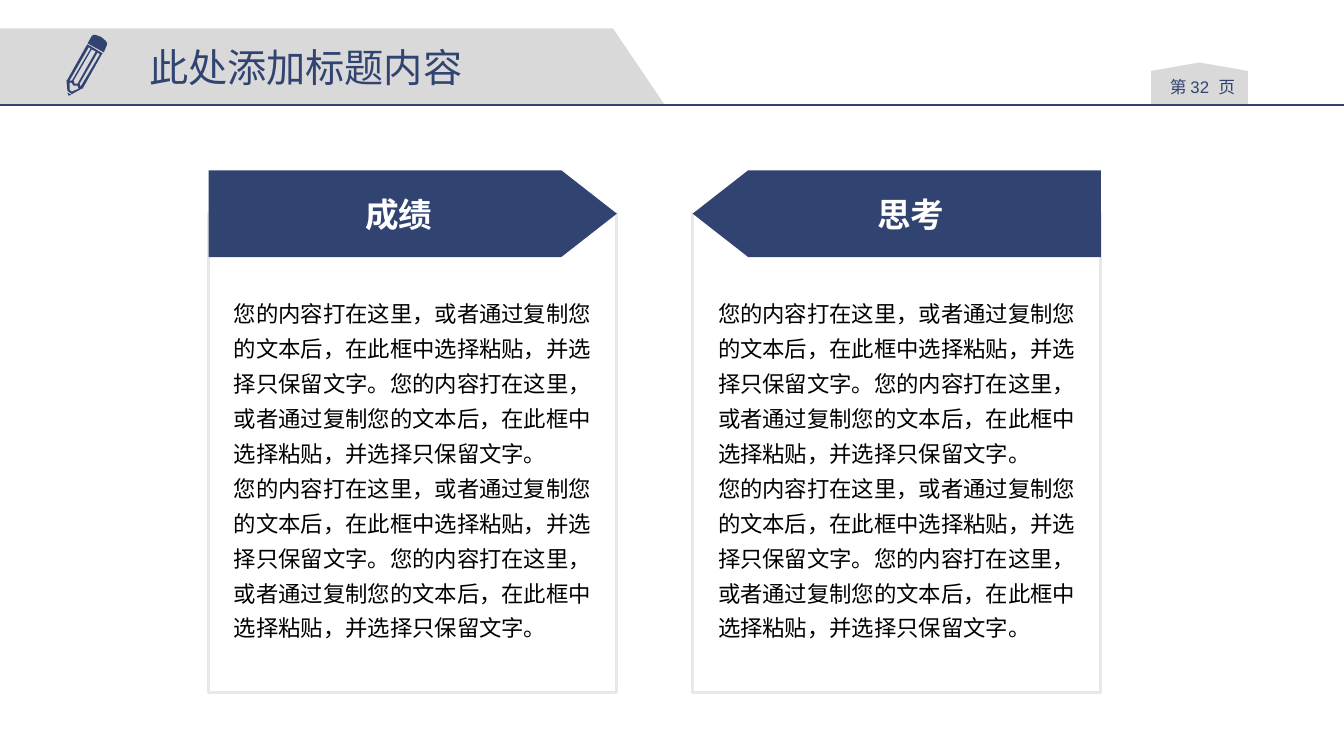
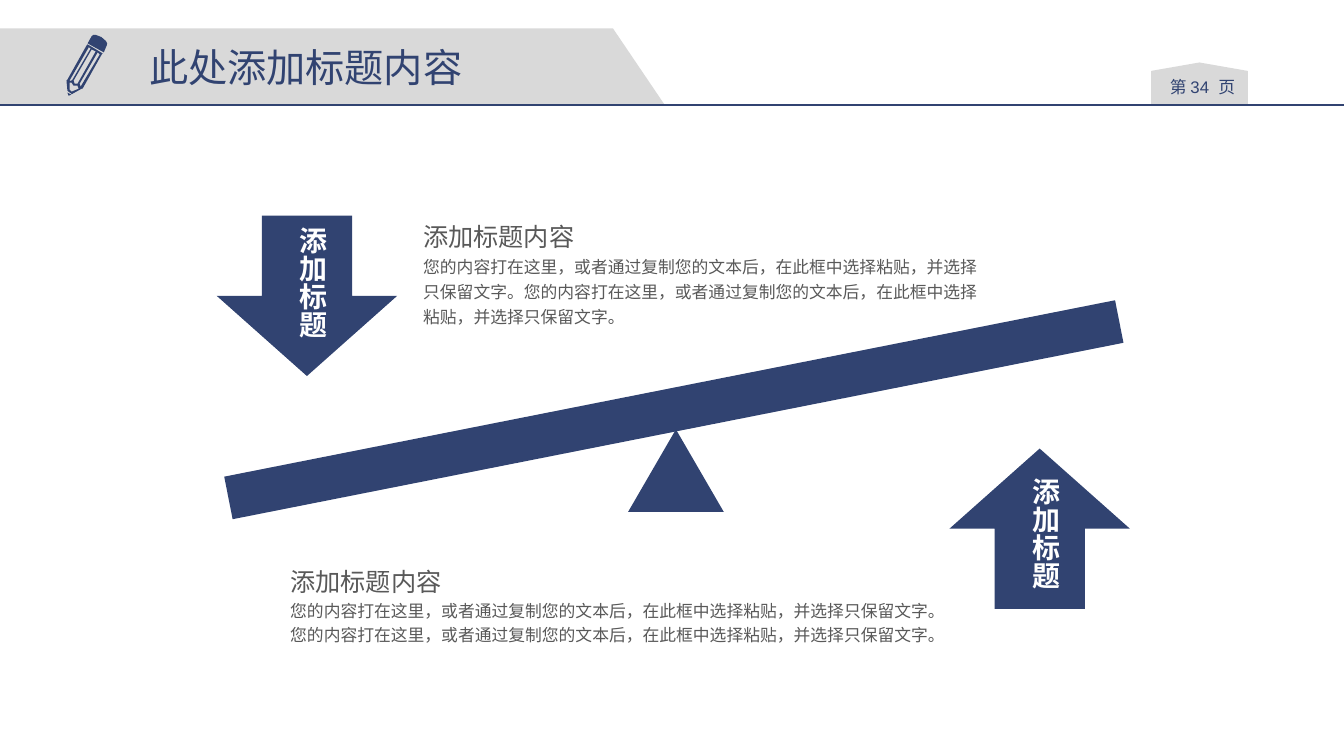
import pptx
import pptx.dml.color
import pptx.enum.shapes
import pptx.enum.text
import pptx.oxml
import pptx.oxml.ns
import pptx.util
from lxml import etree

Pt = pptx.util.Pt
Shape = pptx.enum.shapes.MSO_SHAPE
Align = pptx.enum.text.PP_ALIGN
qn = pptx.oxml.ns.qn

COLORS = {
    "navy": "314371",
    "band": "D9D9D9",
    "border": "E8E8E6",
    "gray": "595959",
    "white": "FFFFFF",
    "black": "000000",
}
FONT = "Noto Sans CJK SC"
WIDTH, HEIGHT = 960, 540
SENTENCE = "您的内容打在这里，或者通过复制您的文本后，在此框中选择粘贴，并选择只保留文字。"
BODY = SENTENCE * 2

# Pencil icon: each part is a list of outlines, the later ones being holes
PENCIL = [
    [[(65.5, 25.9), (66.6, 25), (68.4, 24.9), (72.5, 26.5), (75.8, 29.4), (76.6, 31),
      (76.3, 32.4), (74.2, 37.4), (62.6, 31)]],
    [[(47.5, 57.6), (48.2, 64.8), (49, 65.5), (51.1, 67), (51.8, 67), (58.3, 63.4),
      (59, 63.4), (72.7, 38.9), (73.4, 38.2), (62.6, 31.7), (61.9, 32.4), (48.2, 56.9)],
     [(49.7, 57.6), (63.4, 33.8), (64.8, 34.6), (51.8, 56.9), (50.8, 57.8)],
     [(51.1, 65.5), (49.7, 64.1), (49.7, 59), (51.1, 59), (52.6, 61.2), (55.4, 61.2),
      (56.2, 63.4)],
     [(52.6, 57.6), (65.5, 35.3), (68.4, 36.7), (55.4, 59.8), (53.3, 59.8)],
     [(57.6, 61.9), (56.9, 59.8), (69.8, 37.4), (71.3, 38.9)]],
    [[(51.1, 67.7), (48.2, 66.2), (49, 68.4)]],
]


def rgb(name):
    return pptx.dml.color.RGBColor.from_string(COLORS[name])


def add_text(frame, text, size=12, color="navy", font=FONT, bold=False,
             align=Align.LEFT, leading=None, tracking=None, join=False):
    """Add a paragraph, or with join a further span of the last one."""
    para = frame.paragraphs[-1]
    if para.runs and not join:
        para = frame.add_paragraph()
    if not join:
        para.alignment = align
        para.line_spacing = leading
    span = para.add_run()
    span.text = text
    span.font.size = Pt(size)
    span.font.bold = bold
    span.font.color.rgb = rgb(color)
    span.font.name = font
    properties = span._r.get_or_add_rPr()
    etree.SubElement(properties, qn("a:ea")).set("typeface", font)
    if tracking:
        properties.set("spc", str(round(tracking * 100)))


class Deck:
    """The house style and the page being drawn."""

    def __init__(self):
        self.deck = pptx.Presentation()
        self.deck.slide_width, self.deck.slide_height = Pt(WIDTH), Pt(HEIGHT)
        self.page = None

    def paint(self, shape, fill, line=None, weight=1):
        shape.shadow.inherit = False
        shape.fill.solid()
        shape.fill.fore_color.rgb = rgb(fill)
        if line:
            shape.line.color.rgb = rgb(line)
            shape.line.width = Pt(weight)
        else:
            shape.line.fill.background()
        return shape

    def shape(self, kind, left, top, width, height, fill="navy", line=None, weight=1,
              rotation=0, flip=False):
        shape = self.page.shapes.add_shape(kind, Pt(left), Pt(top), Pt(width), Pt(height))
        shape.rotation = rotation
        if flip:
            shape._element.spPr.find(qn("a:xfrm")).set("flipH", "1")
        return self.paint(shape, fill, line, weight)

    def outline(self, contours, fill):
        first, *holes = [[(Pt(x), Pt(y)) for x, y in contour] for contour in contours]
        builder = self.page.shapes.build_freeform(*first[0])
        builder.add_line_segments(first[1:])
        for hole in holes:
            builder.move_to(*hole[0])
            builder.add_line_segments(hole[1:])
        return self.paint(builder.convert_to_shape(), fill)

    def rule(self, x1, y1, x2, y2):
        line = self.page.shapes.add_connector(
            pptx.enum.shapes.MSO_CONNECTOR.STRAIGHT, Pt(x1), Pt(y1), Pt(x2), Pt(y2))
        line.line.color.rgb = rgb("navy")
        line.line.width = Pt(1)
        etree.SubElement(line._element.spPr, qn("a:effectLst"))

    def box(self, left, top, width, height, wrap=True, grow=True, vertical=False,
            margins=(7.2, 3.6)):
        box = self.page.shapes.add_textbox(Pt(left), Pt(top), Pt(width), Pt(height))
        frame = box.text_frame
        frame.word_wrap = wrap
        frame.margin_left = frame.margin_right = Pt(margins[0])
        frame.margin_top = frame.margin_bottom = Pt(margins[1])
        if grow:
            frame.auto_size = pptx.enum.text.MSO_AUTO_SIZE.SHAPE_TO_FIT_TEXT
        if vertical:
            frame._txBody.bodyPr.set("vert", "eaVert")
        return box

    def new_page(self, title, number):
        self.page = self.deck.slides.add_slide(self.deck.slide_layouts[6])
        # Title band and page tab
        self.outline([[(0, 20.2), (437.8, 20.2), (474.8, 74.9), (0, 74.9)]], "band")
        self.shape(Shape.FLOWCHART_OFFPAGE_CONNECTOR, 822.2, 44.6, 69.1, 30.2, "band",
                   rotation=180)
        frame = self.box(826.6, 51.8, 64.8, 21.6, grow=False, margins=(5, 2.9)).text_frame
        add_text(frame, "第 ", align=Align.CENTER)
        add_text(frame, str(number), font="Arial", join=True)
        add_text(frame, " ", font="Arial", tracking=3.3, join=True)
        add_text(frame, "页", join=True)
        self.rule(0, 74.9, WIDTH, 74.9)
        # Icon and title
        self.page.shapes.add_group_shape([self.outline(part, "navy") for part in PENCIL])
        add_text(self.box(99.4, 27.4, 240.5, 41, wrap=False).text_frame, title, size=28)

    def panel(self, left, heading, paragraphs, flip=False):
        self.shape(Shape.RECTANGLE, left, 152.6, 291.6, 342, "white", "border", 2)
        banner = self.shape(Shape.PENTAGON, left, 121.7, 291.6, 61.9, flip=flip)
        banner.adjustments[0] = 0.64
        frame = banner.text_frame
        frame.word_wrap = False
        frame.vertical_anchor = pptx.enum.text.MSO_ANCHOR.MIDDLE
        add_text(frame, heading, size=24, color="white", bold=True, align=Align.CENTER)
        frame = self.box(left + 11, 205.2, 280, 259.2).text_frame
        for text in paragraphs:
            add_text(frame, text, size=16, color="black", leading=1.3)

    def note(self, left, top, width, height, heading, text, leadings):
        frame = self.box(left, top, width, height).text_frame
        add_text(frame, heading, size=18, color="gray", leading=leadings[0])
        add_text(frame, text, color="gray", leading=leadings[1])

    def arrow(self, kind, left, top, label, label_drop):
        arrow = self.shape(kind, left, top, 128.9, 114.5)
        box = self.box(left + 45.4, top + label_drop, 38.9, 98.6, vertical=True)
        add_text(box.text_frame, label, size=20, color="white", bold=True,
                 align=Align.CENTER)
        self.page.shapes.add_group_shape([arrow, box])


def main():
    style = Deck()

    # Two panels facing each other
    style.new_page("此处添加标题内容", 32)
    style.panel(149, "成绩", [BODY, BODY])
    style.panel(494.8, "思考", [BODY, BODY], flip=True)

    # Seesaw
    style.new_page("此处添加标题内容", 34)
    style.note(295.2, 149, 418.3, 89.3, "添加标题内容", BODY, (1.25, 1.25))
    style.note(200.2, 390.2, 476.6, 74.9, "添加标题内容", BODY, (1.5, 1.2))
    style.shape(Shape.RECTANGLE, 157, 277.2, 648.7, 31, rotation=348.8)
    style.arrow(Shape.DOWN_ARROW, 154.8, 154.1, "添加标题", 0.7)
    style.arrow(Shape.UP_ARROW, 678.2, 320.4, "添加标题", 13.7)
    style.shape(Shape.ISOSCELES_TRIANGLE, 448.6, 306.7, 68.4, 59)

    style.deck.save("out.pptx")


if __name__ == "__main__":
    main()
